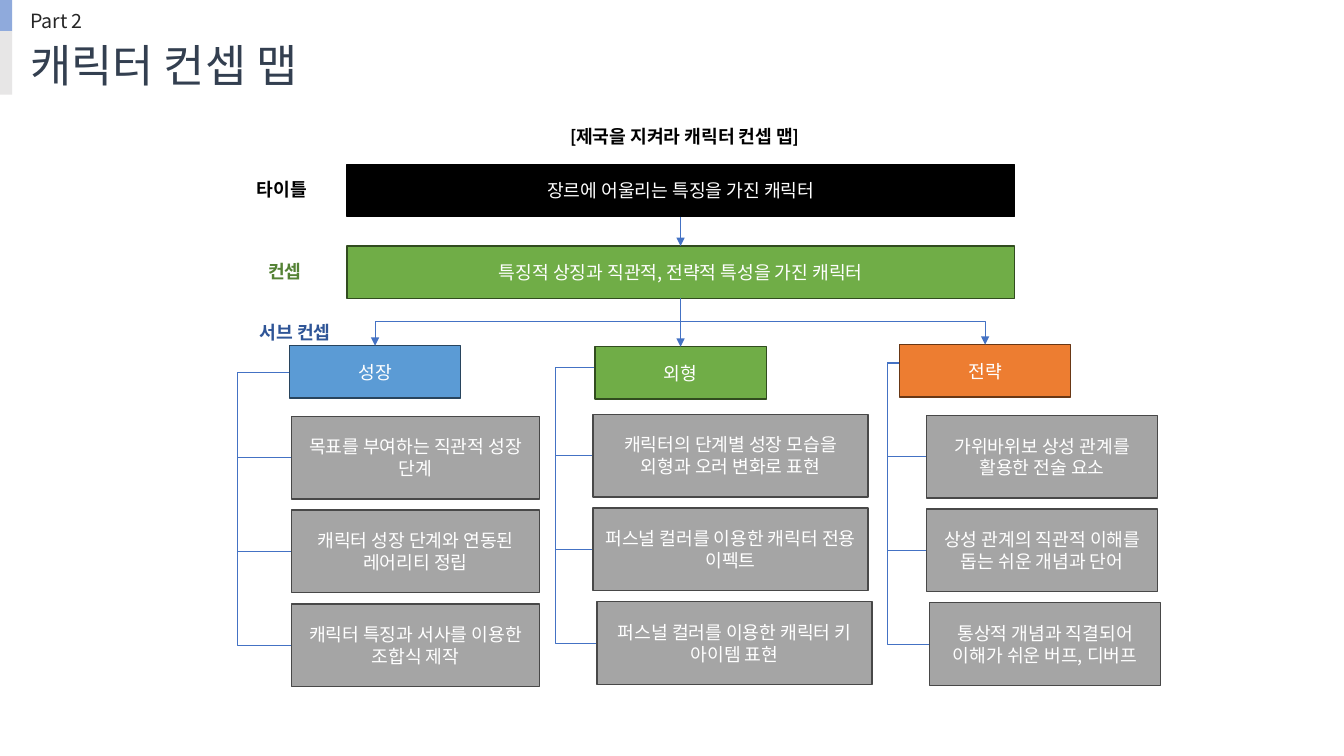
"""Build the character concept map slide."""
from dataclasses import dataclass

from lxml import etree
from pptx import Presentation
from pptx import util as u
from pptx.dml.color import RGBColor
from pptx.enum import shapes, text
from pptx.oxml.ns import qn

PX = 9144
KOREAN = "Noto Sans CJK KR"
BRANCH_COLOUR = "4472C4"
BAR_HEIGHT, NOTE_HEIGHT, NOTE_PITCH = 52, 82, 93
TRUNK_Y = 319


@dataclass
class Box:
    x: int
    y: int
    w: int
    h: int
    words: str
    fill: str
    edge: str
    font: str = KOREAN


@dataclass
class Label:
    x: int
    y: int
    w: int
    words: str
    colour: str


@dataclass
class Heading:
    y: int
    w: int
    h: int
    words: str
    size: int
    colour: str


@dataclass
class SubConcept:
    header: Box
    spine_x: int
    spine_y: int
    notes: list[Box]


def px(value: float):
    """Turn px into EMU."""
    return u.Emu(round(value * PX))


def rgb(value: str):
    """Turn a hex string into a colour."""
    return RGBColor.from_string(value)


def style(paragraph, words: str, size: int, colour: str, font: str = KOREAN, bold: bool = False):
    """Write a paragraph with one font."""
    paragraph.text = words
    face = paragraph.font
    face.size, face.bold, face.name = u.Pt(size), bold, font
    face.color.rgb = rgb(colour)
    defaults = paragraph._p.pPr.find(qn("a:defRPr"))
    etree.SubElement(defaults, qn("a:ea")).set("typeface", KOREAN)


def draw_plain(slide, x: int, y: int, w: int, h: int, fill: str):
    """Draw a filled rectangle without an outline."""
    rect = slide.shapes.add_shape(shapes.MSO_SHAPE.RECTANGLE, px(x), px(y), px(w), px(h))
    rect.shadow.inherit = False
    rect.fill.solid()
    rect.fill.fore_color.rgb = rgb(fill)
    rect.line.fill.background()
    return rect


def draw_box(slide, box: Box):
    """Draw an outlined rectangle with centred white text."""
    rect = draw_plain(slide, box.x, box.y, box.w, box.h, box.fill)
    rect.line.color.rgb = rgb(box.edge)
    rect.line.width = u.Pt(1)
    frame = rect.text_frame
    frame.word_wrap = True
    frame.vertical_anchor = text.MSO_ANCHOR.MIDDLE
    words = frame.paragraphs[0]
    words.alignment = text.PP_ALIGN.CENTER
    words.space_after = u.Pt(6)
    style(words, box.words, 13, "FFFFFF", box.font)
    return rect


def draw_label(slide, label: Label):
    """Draw a bold centred label."""
    frame = slide.shapes.add_textbox(px(label.x), px(label.y), px(label.w), px(54)).text_frame
    frame.word_wrap = True
    frame.margin_left = frame.margin_right = frame.margin_top = frame.margin_bottom = px(10)
    words = frame.paragraphs[0]
    words.alignment = text.PP_ALIGN.CENTER
    words.line_spacing = 1.15
    words.space_after = u.Pt(6)
    style(words, label.words, 13, label.colour, "Lato", True)


def draw_heading(slide, heading: Heading):
    """Draw a left-aligned heading on one line."""
    area = slide.shapes.add_textbox(px(20), px(heading.y), px(heading.w), px(heading.h))
    area.text_frame.word_wrap = False
    style(area.text_frame.paragraphs[0], heading.words, heading.size, heading.colour)


def draw_line(slide, kind, x1: float, y1: float, x2: float, y2: float, arrow: bool = False):
    """Draw a thin connector."""
    link = slide.shapes.add_connector(kind, px(x1), px(y1), px(x2), px(y2))
    link.line.color.rgb = rgb(BRANCH_COLOUR)
    link.line.width = u.Pt(0.5)
    if arrow:
        etree.SubElement(link.line._get_or_add_ln(), qn("a:tailEnd")).set("type", "triangle")
    etree.SubElement(link._element.spPr, qn("a:effectLst"))
    return link


def bend(link, share: float):
    """Place the middle leg of an elbow at a share of its width."""
    geometry = link._element.spPr.find(qn("a:prstGeom"))
    guide = etree.SubElement(geometry.find(qn("a:avLst")), qn("a:gd"))
    guide.set("name", "adj1")
    guide.set("fmla", f"val {round(share * 100000)}")


def draw_spread(slide, x1: int, y1: int, x2: int, y2: int):
    """Draw an elbow arrow that leaves downwards and arrives downwards."""
    drop, reach = y2 - y1, abs(x2 - x1)
    left, top = (x1 + x2 - drop) / 2, (y1 + y2 - reach) / 2
    start, end = (left, left + drop) if x2 < x1 else (left + drop, left)
    link = draw_line(slide, shapes.MSO_CONNECTOR.ELBOW, start, top, end, top + reach, True)
    link._element.spPr.find(qn("a:xfrm")).set("rot", str((90 if x2 < x1 else 270) * 60000))
    bend(link, (TRUNK_Y - y1) / drop)


def draw_straight(slide, upper, lower):
    """Join two boxes with a downward arrow."""
    link = draw_line(slide, shapes.MSO_CONNECTOR.STRAIGHT, 0, 0, 1, 1, True)
    link.begin_connect(upper, 2)
    link.end_connect(lower, 0)


def draw_branches(slide, sub: SubConcept):
    """Link a sub concept to each of its notes along a spine."""
    start = sub.header.x
    for note in sub.notes:
        link = draw_line(slide, shapes.MSO_CONNECTOR.ELBOW, start, sub.spine_y,
                         note.x, note.y + NOTE_HEIGHT // 2)
        bend(link, (sub.spine_x - start) / (note.x - start))


def sub_header(x: int, y: int, words: str, fill: str, edge: str) -> Box:
    """Describe a sub concept box."""
    return Box(x, y, 170, BAR_HEIGHT, words, fill, edge)


def notes(x: int, y: int, w: int, last_shift: int, *words: str) -> list[Box]:
    """Describe a column of notes, the last one shifted right."""
    return [Box(x + (last_shift if row == 2 else 0), y + row * NOTE_PITCH, w, NOTE_HEIGHT,
                line, "A5A5A5", "484848") for row, line in enumerate(words)]


TITLE = Box(344, 163, 662, BAR_HEIGHT, "장르에 어울리는 특징을 가진 캐릭터", "000000", "000000")
CONCEPT = Box(344, 244, 662, BAR_HEIGHT, "특징적 상징과 직관적, 전략적 특성을 가진 캐릭터", "70AD47", "314C1F")
GROWTH = SubConcept(
    sub_header(287, 343, "성장", "5B9BD5", "28445D"), 236, 369,
    notes(289, 413, 246, 0, "목표를 부여하는 직관적 성장 단계",
          "캐릭터 성장 단계와 연동된 레어리티 정립", "캐릭터 특징과 서사를 이용한 조합식 제작"))
LOOK = SubConcept(
    sub_header(590, 344, "외형", "70AD47", "314C1F"), 551, 364,
    notes(588, 411, 273, 4, "캐릭터의 단계별 성장 모습을 외형과 오러 변화로 표현",
          "퍼스널 컬러를 이용한 캐릭터 전용 이펙트", "퍼스널 컬러를 이용한 캐릭터 키 아이템 표현"))
LOOK.notes[-1].font = "Calibri"
STRATEGY = SubConcept(
    sub_header(892, 342, "전략", "ED7D31", "683715"), 880, 360,
    notes(919, 412, 229, 3, "가위바위보 상성 관계를 활용한 전술 요소",
          "상성 관계의 직관적 이해를 돕는 쉬운 개념과 단어", "통상적 개념과 직결되어 이해가 쉬운 버프, 디버프"))
LABELS = [
    Label(341, 111, 676, "[제국을 지켜라 캐릭터 컨셉 맵]", "000000"),
    Label(195, 164, 169, "타이틀", "000000"),
    Label(198, 245, 169, "컨셉", "548235"),
    Label(183, 306, 219, "서브 컨셉", "2F5597"),
]
HEADINGS = [
    Heading(4, 73, 34, "Part 2", 14, "262626"),
    Heading(33, 321, 64, "캐릭터 컨셉 맵", 32, "333F50"),
]


def main():
    """Draw the slide and save it."""
    deck = Presentation()
    deck.slide_width, deck.slide_height = px(1333), px(750)
    slide = deck.slides.add_slide(deck.slide_layouts[6])
    draw_plain(slide, 0, 0, 12, 31, "8FAADC")
    draw_plain(slide, 0, 31, 12, 63, "E7E6E6")
    title, concept = draw_box(slide, TITLE), draw_box(slide, CONCEPT)
    draw_straight(slide, title, concept)
    for sub in (GROWTH, LOOK, STRATEGY):
        draw_branches(slide, sub)
        header = draw_box(slide, sub.header)
        if sub is LOOK:
            draw_straight(slide, concept, header)
        else:
            draw_spread(slide, 675, CONCEPT.y + BAR_HEIGHT, sub.header.x + 85, sub.header.y)
        for note in sub.notes:
            draw_box(slide, note)
    for label in LABELS:
        draw_label(slide, label)
    for heading in HEADINGS:
        draw_heading(slide, heading)
    deck.save("out.pptx")


if __name__ == "__main__":
    main()
